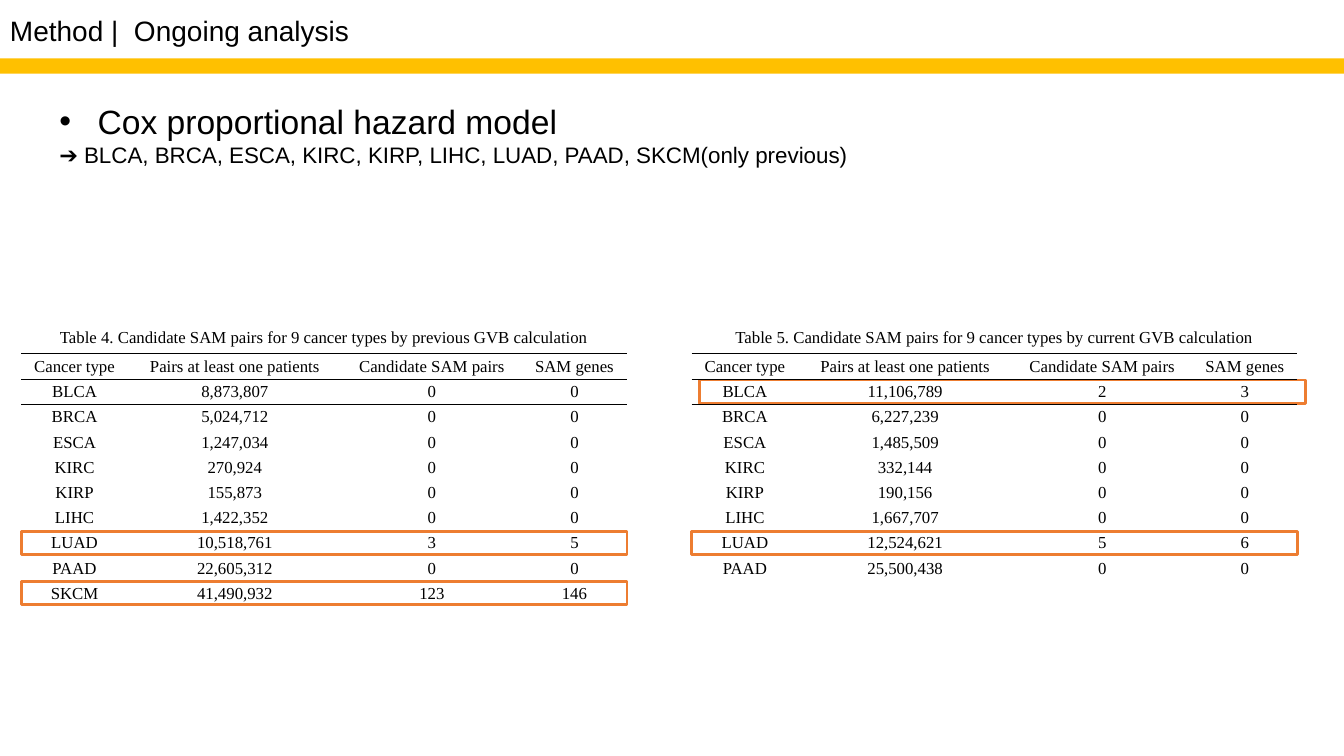
import lxml.etree
import pptx
import pptx.dml.color
import pptx.enum.shapes
import pptx.enum.text
import pptx.oxml.ns
import pptx.util

COLORS = {"ink": "000000", "bar": "FFC000", "highlight": "ED7D31"}
SANS, SERIF = "Arial", "Times New Roman"
COLUMNS, ROWS = 53.33, 30  # square grid of quarter inches
COLUMN_WEIGHTS = (106, 212, 179, 104)
NO_TABLE_STYLE = "{2D5ABB26-0587-4C30-8999-92F81FD0307C}"
CENTER = pptx.enum.text.PP_ALIGN.CENTER
MIDDLE = pptx.enum.text.MSO_ANCHOR.MIDDLE

HEADER = ("Cancer type", "Pairs at least one patients", "Candidate SAM pairs", "SAM genes")
PREVIOUS = [
    HEADER,
    ("BLCA", "8,873,807", "0", "0"),
    ("BRCA", "5,024,712", "0", "0"),
    ("ESCA", "1,247,034", "0", "0"),
    ("KIRC", "270,924", "0", "0"),
    ("KIRP", "155,873", "0", "0"),
    ("LIHC", "1,422,352", "0", "0"),
    ("LUAD", "10,518,761", "3", "5"),
    ("PAAD", "22,605,312", "0", "0"),
    ("SKCM", "41,490,932", "123", "146"),
]
CURRENT = [
    HEADER,
    ("BLCA", "11,106,789", "2", "3"),
    ("BRCA", "6,227,239", "0", "0"),
    ("ESCA", "1,485,509", "0", "0"),
    ("KIRC", "332,144", "0", "0"),
    ("KIRP", "190,156", "0", "0"),
    ("LIHC", "1,667,707", "0", "0"),
    ("LUAD", "12,524,621", "5", "6"),
    ("PAAD", "25,500,438", "0", "0"),
    ("", "", "", ""),
]


def grid(*cells):
    """Turn counts of grid cells into lengths."""
    return [pptx.util.Inches(count / 4) for count in cells]


def rgb(name):
    return pptx.dml.color.RGBColor.from_string(COLORS[name])


def add_xml(parent, tag, **attributes):
    return lxml.etree.SubElement(parent, pptx.oxml.ns.qn(tag), attributes)


def write(paragraph, text, size=12, font=SERIF, align=None, spacing=None, bullet=None):
    if bullet:
        properties = paragraph._p.get_or_add_pPr()
        indent = pptx.util.Inches(0.38)
        properties.set("marL", str(indent))
        properties.set("indent", str(-indent))
        add_xml(properties, "a:buFont", typeface=SANS)
        add_xml(properties, "a:buChar", char=bullet)
    paragraph.alignment = align
    paragraph.line_spacing = spacing
    run = paragraph.add_run()
    run.text = text
    run.font.size = pptx.util.Pt(size)
    run.font.name = font
    run.font.color.rgb = rgb("ink")


def add_text_frame(slide, box, anchor=pptx.enum.text.MSO_ANCHOR.TOP):
    frame = slide.shapes.add_textbox(*grid(*box)).text_frame
    frame.word_wrap = True
    frame.vertical_anchor = anchor
    return frame


def add_rectangle(slide, box, fill=None, outline=None):
    rectangle = slide.shapes.add_shape(
        pptx.enum.shapes.MSO_SHAPE.RECTANGLE, *grid(*box))
    rectangle.shadow.inherit = False
    if fill:
        rectangle.fill.solid()
        rectangle.fill.fore_color.rgb = rgb(fill)
    else:
        rectangle.fill.background()
    if outline:
        rectangle.line.color.rgb = rgb(outline)
        rectangle.line.width = pptx.util.Pt(2)
    else:
        rectangle.line.fill.background()


def add_rule(cell, tag):
    """Draw one thin border of a cell."""
    border = add_xml(cell._tc.get_or_add_tcPr(), tag, w=str(pptx.util.Pt(0.5)))
    add_xml(add_xml(border, "a:solidFill"), "a:srgbClr", val=COLORS["ink"])


def add_heading(slide, box):
    left, top, width, height = box
    frame = add_text_frame(slide, box, MIDDLE)
    write(frame.paragraphs[0], "Method |  Ongoing analysis", size=20, font=SANS, spacing=0.9)
    add_rectangle(slide, (left, top + height - 0.24, width, 0.6), fill="bar")


def add_model_summary(slide, box):
    frame = add_text_frame(slide, box)
    write(frame.paragraphs[0], "Cox proportional hazard model", size=24, font=SANS, bullet="•")
    write(frame.add_paragraph(),
          "➔ BLCA, BRCA, ESCA, KIRC, KIRP, LIHC, LUAD, PAAD, SKCM(only previous)",
          size=16, font=SANS)


def add_pairs_table(slide, box, records):
    width = box[2]
    table = slide.shapes.add_table(len(records), len(HEADER), *grid(*box)).table
    table.first_row = table.horz_banding = False
    table._tbl.tblPr.find(pptx.oxml.ns.qn("a:tableStyleId")).text = NO_TABLE_STYLE
    for column, weight in zip(table.columns, COLUMN_WEIGHTS):
        column.width, = grid(width * weight / sum(COLUMN_WEIGHTS))
    for row_index, record in enumerate(records):
        for column_index, text in enumerate(record):
            cell = table.cell(row_index, column_index)
            cell.margin_left = cell.margin_right = cell.margin_top = pptx.util.Inches(0.01)
            cell.margin_bottom = 0
            cell.vertical_anchor = MIDDLE
            if row_index < 2:
                add_rule(cell, "a:lnT")
            if row_index == 0:
                add_rule(cell, "a:lnB")
            cell.fill.background()
            write(cell.text_frame.paragraphs[0], text, align=CENTER)


def add_results(slide, box, caption, records, highlights):
    """Place a captioned table; highlights maps a row number to its frame's shift right."""
    left, top, width, height = box
    table_top = top + 1.28
    for row, shift in highlights.items():
        add_rectangle(slide, (left + shift, table_top + row + 0.04, width, 0.92),
                      outline="highlight")
    add_pairs_table(slide, (left, table_top, width, height - 1.28), records)
    frame = add_text_frame(slide, (left + 1, top, width - 2, 1.2))
    write(frame.paragraphs[0], caption, align=CENTER)


def main():
    deck = pptx.Presentation()
    deck.slide_width, deck.slide_height = grid(COLUMNS, ROWS)
    slide = deck.slides.add_slide(deck.slide_layouts[6])
    add_heading(slide, (0, 0, COLUMNS, 2.56))
    add_model_summary(slide, (1.96, 3.8, 45.36, 3.08))
    add_results(slide, (0.84, 12.76, 24.04, 11.28),
                "Table 4. Candidate SAM pairs for 9 cancer types by previous GVB calculation",
                PREVIOUS, {7: 0, 9: 0})
    add_results(slide, (27.44, 12.76, 24.04, 11.28),
                "Table 5. Candidate SAM pairs for 9 cancer types by current GVB calculation",
                CURRENT, {1: 0.32, 7: 0})
    deck.save("out.pptx")


if __name__ == "__main__":
    main()
